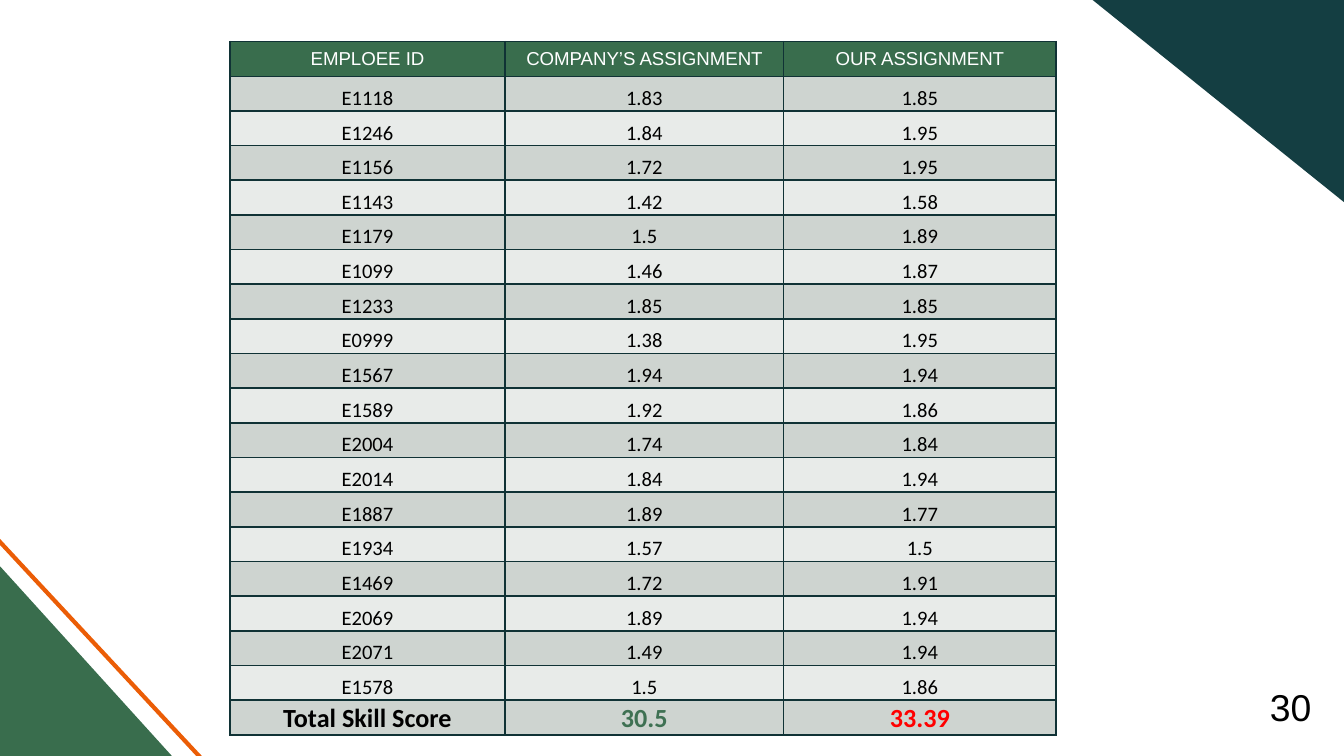
from lxml import etree
from pptx import Presentation
from pptx import util as u
from pptx.dml.color import RGBColor
from pptx.enum import shapes, text
from pptx.oxml.ns import qn

HEADERS = ["EMPLOEE ID", "COMPANY’S ASSIGNMENT", "OUR ASSIGNMENT"]
SCORES = [
    ("E1118", "1.83", "1.85"),
    ("E1246", "1.84", "1.95"),
    ("E1156", "1.72", "1.95"),
    ("E1143", "1.42", "1.58"),
    ("E1179", "1.5", "1.89"),
    ("E1099", "1.46", "1.87"),
    ("E1233", "1.85", "1.85"),
    ("E0999", "1.38", "1.95"),
    ("E1567", "1.94", "1.94"),
    ("E1589", "1.92", "1.86"),
    ("E2004", "1.74", "1.84"),
    ("E2014", "1.84", "1.94"),
    ("E1887", "1.89", "1.77"),
    ("E1934", "1.57", "1.5"),
    ("E1469", "1.72", "1.91"),
    ("E2069", "1.89", "1.94"),
    ("E2071", "1.49", "1.94"),
    ("E1578", "1.5", "1.86"),
]
TOTALS = ["Total Skill Score", "30.5", "33.39"]
PAGE_NUMBER = "30"

WHITE = RGBColor(0xFF, 0xFF, 0xFF)
BLACK = RGBColor(0, 0, 0)
RED = RGBColor(0xFF, 0, 0)
GREEN = RGBColor(0x39, 0x6D, 0x4D)
TOTAL_GREEN = RGBColor(0x3F, 0x71, 0x53)
TEAL = RGBColor(0x14, 0x3E, 0x42)
ORANGE = RGBColor(0xEB, 0x5D, 0x06)
BORDER = RGBColor(0x10, 0x32, 0x35)
BANDS = [RGBColor(0xCE, 0xD4, 0xD0), RGBColor(0xE8, 0xEB, 0xE9)]
TOTAL_COLORS = [BLACK, TOTAL_GREEN, RED]

WIDTH = 10
HEIGHT = WIDTH * 9 / 16
TABLE_LEFT, TABLE_TOP, TABLE_HEIGHT = 1.71, 0.31, 5.16
COLUMN_WIDTHS = [2.05, 2.07, 2.03]


def paint(shape, color):
    shape.fill.solid()
    shape.fill.fore_color.rgb = color
    shape.line.fill.background()
    shape.shadow.inherit = False


def add_decoration(page):
    builder = page.shapes.build_freeform(1002, 0, scale=u.Inches(1) / 100)
    builder.add_line_segments([(1002, 152), (813, 0)])
    paint(builder.convert_to_shape(), TEAL)

    stripe = page.shapes.add_connector(
        shapes.MSO_CONNECTOR.STRAIGHT,
        *[u.Inches(value) for value in (1.56, 5.71, -0.04, 3.99)])
    stripe.line.color.rgb = ORANGE
    stripe.line.width = u.Pt(2.25)
    etree.SubElement(stripe._element.spPr, qn("a:effectLst"))

    corner = page.shapes.add_shape(
        shapes.MSO_SHAPE.RIGHT_TRIANGLE,
        *[u.Inches(value) for value in (-0.1, 4.25, 1.49, 1.35)])
    corner.rotation = 90
    corner._element.spPr.find(qn("a:xfrm")).set("flipH", "1")
    paint(corner, GREEN)


def add_borders(cell):
    properties = cell._tc.get_or_add_tcPr()
    for side in ("lnL", "lnR", "lnT", "lnB"):
        line = etree.SubElement(properties, qn(f"a:{side}"), w=str(u.Pt(1)))
        fill = etree.SubElement(line, qn("a:solidFill"))
        etree.SubElement(fill, qn("a:srgbClr"), val=str(BORDER))


def fill_cell(cell, words, fill, font_name, size, color, bold=False):
    add_borders(cell)
    cell.fill.solid()
    cell.fill.fore_color.rgb = fill
    cell.text = words
    para = cell.text_frame.paragraphs[0]
    para.alignment = text.PP_ALIGN.CENTER
    para.font.name = font_name
    para.font.size = u.Pt(size)
    para.font.bold = bold
    para.font.color.rgb = color


def add_score_table(page):
    rows = [HEADERS, *SCORES, TOTALS]
    table = page.shapes.add_table(
        len(rows), len(HEADERS), u.Inches(TABLE_LEFT), u.Inches(TABLE_TOP),
        u.Inches(sum(COLUMN_WIDTHS)), u.Inches(TABLE_HEIGHT)).table
    for column, width in zip(table.columns, COLUMN_WIDTHS):
        column.width = u.Inches(width)
    for r, row in enumerate(rows):
        for c, words in enumerate(row):
            cell = table.cell(r, c)
            if r == 0:
                fill_cell(cell, words, GREEN, "Arial", 10, WHITE)
                continue
            cell.vertical_anchor = text.MSO_ANCHOR.BOTTOM
            cell.margin_left = cell.margin_right = cell.margin_top = u.Inches(0.01)
            cell.margin_bottom = 0
            band = BANDS[(r - 1) % 2]
            if row is TOTALS:
                fill_cell(cell, words, band, "Calibri", 14, TOTAL_COLORS[c], True)
            else:
                fill_cell(cell, words, band, "Calibri", 11, BLACK)


def add_page_number(page):
    box = page.shapes.add_textbox(
        *[u.Inches(value) for value in (9.35, 5.04, 0.51, 0.44)])
    box.text_frame.word_wrap = True
    box.text_frame.auto_size = text.MSO_AUTO_SIZE.SHAPE_TO_FIT_TEXT
    para = box.text_frame.paragraphs[0]
    para.text = PAGE_NUMBER
    para.font.name = "Arial"
    para.font.size = u.Pt(20)
    para.font.color.rgb = BLACK


def main():
    deck = Presentation()
    deck.slide_width = u.Inches(WIDTH)
    deck.slide_height = u.Inches(HEIGHT)
    page = deck.slides.add_slide(deck.slide_layouts[6])
    add_decoration(page)
    add_score_table(page)
    add_page_number(page)
    deck.save("out.pptx")


if __name__ == "__main__":
    main()
